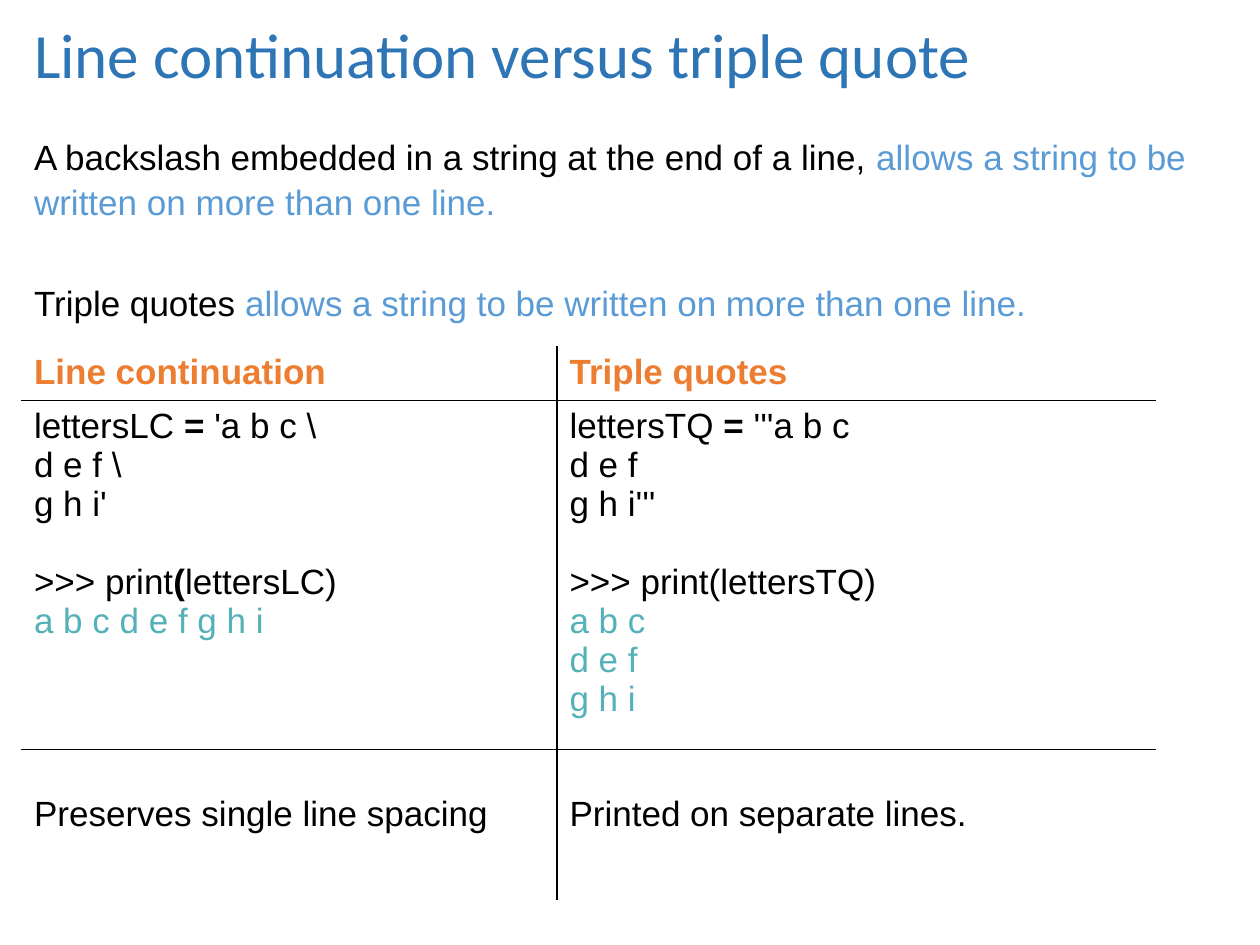
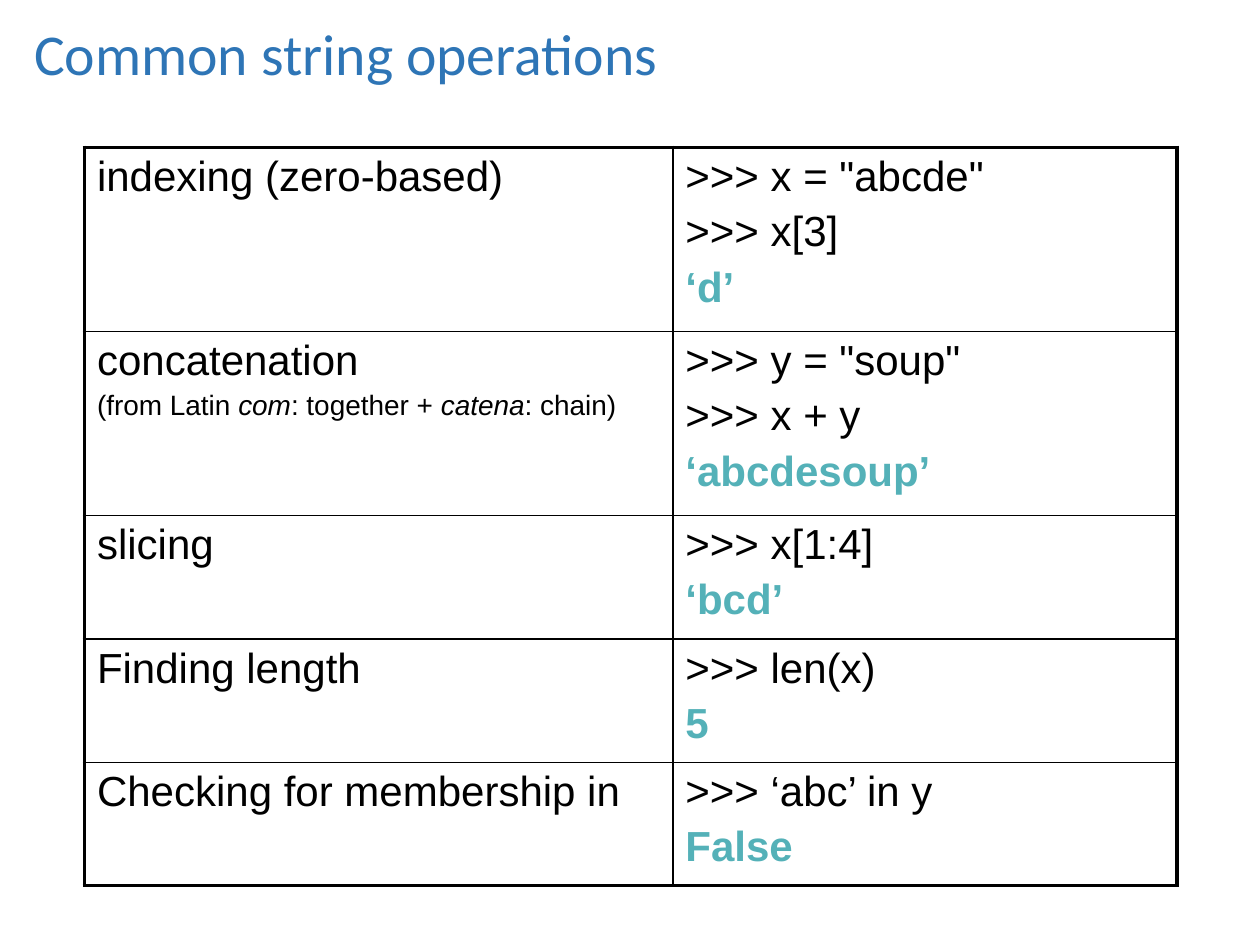
from dataclasses import dataclass
from typing import NamedTuple

from lxml.etree import SubElement
from pptx import Presentation
from pptx.dml.color import RGBColor
from pptx.enum.text import MSO_ANCHOR, MSO_AUTO_SIZE, PP_ALIGN
from pptx.oxml.ns import qn
from pptx.util import Inches, Pt

HUES = {
    "title": "2E75B6",
    "ink": "000000",
    "paper": "FFFFFF",
    "blue": "5B9BD5",
    "head": "ED7D31",
    "out": "54B1B8",
}
THIN, THICK = 1, 2.25
BLANK = 22.3  # height in points of one 20 pt line


class Bit(NamedTuple):
    text: str
    hue: str = "ink"
    bold: bool = False
    slant: bool = False


class Line(NamedTuple):
    bits: list[Bit]
    size: float = 20
    gap: float = 0


class Edge(NamedTuple):
    hue: str
    width: float


@dataclass
class Grid:
    left: float
    top: float
    cols: list[float]
    rows: list[float]
    cells: list[list[list[Line]]]
    rim: Edge


def tint(name: str) -> RGBColor:
    return RGBColor.from_string(HUES[name])


def line(text: str, hue: str = "ink", bold: bool = False,
         size: float = 20, gap: float = 0) -> Line:
    return Line([Bit(text, hue, bold)], size, gap)


def write(frame, lines: list[Line], plain: bool = False) -> None:
    """Fill a text frame; plain removes the list bullets."""
    for i, item in enumerate(lines):
        para = frame.paragraphs[0] if i == 0 else frame.add_paragraph()
        para.text = item.bits[0].text
        for bit in item.bits[1:]:
            para.add_run().text = bit.text
        if plain:
            props = para._p.get_or_add_pPr()
            props.set("marL", "0")
            props.set("indent", "0")
            SubElement(props, qn("a:buNone"))
            para.line_spacing = 1.07
        para.space_before = Pt(item.gap if i else 0)
        for run, bit in zip(para.runs, item.bits):
            font = run.font
            font.name, font.size = "Arial", Pt(item.size)
            font.bold, font.italic = bit.bold, bit.slant
            font.color.rgb = tint(bit.hue)


def place(shape, left: float, top: float, width: float, height: float) -> None:
    shape.left, shape.top = Inches(left), Inches(top)
    shape.width, shape.height = Inches(width), Inches(height)
    frame = shape.text_frame
    frame.word_wrap = True
    frame.auto_size = MSO_AUTO_SIZE.NONE


def start(deck, layout: int, title: str, size: float):
    """Add a slide with the shared title style."""
    slide = deck.slides.add_slide(deck.slide_layouts[layout])
    shape = slide.shapes.title
    place(shape, 0.17, 0.17, 8.75, 0.5)
    frame = shape.text_frame
    frame.text = title
    frame.vertical_anchor = MSO_ANCHOR.MIDDLE
    para = frame.paragraphs[0]
    para.alignment = PP_ALIGN.LEFT
    font = para.runs[0].font
    font.name, font.size = "Calibri", Pt(size)
    font.color.rgb = tint("title")
    return slide


def rule(cell, side: str, edge: Edge) -> None:
    ln = SubElement(cell._tc.get_or_add_tcPr(), qn(f"a:ln{side}"),
                    w=str(Pt(edge.width)))
    fill = SubElement(ln, qn("a:solidFill"))
    SubElement(fill, qn("a:srgbClr"), val=HUES[edge.hue])


def draw(slide, grid: Grid):
    table = slide.shapes.add_table(
        len(grid.rows), len(grid.cols), Inches(grid.left), Inches(grid.top),
        Inches(sum(grid.cols)), Inches(sum(grid.rows))).table
    table.first_row = table.horz_banding = False
    for col, width in zip(table.columns, grid.cols):
        col.width = Inches(width)
    for row, height in zip(table.rows, grid.rows):
        row.height = Inches(height)
    last_row, last_col = len(grid.rows) - 1, len(grid.cols) - 1
    inner = Edge("ink", THIN)
    for r, row in enumerate(grid.cells):
        for c, lines in enumerate(row):
            cell = table.cell(r, c)
            outer = {"L": c == 0, "R": c == last_col,
                     "T": r == 0, "B": r == last_row}
            for side, rim in outer.items():
                rule(cell, side, grid.rim if rim else inner)
            cell.fill.solid()
            cell.fill.fore_color.rgb = tint("paper")
            write(cell.text_frame, lines)
    return table


def quotes(deck) -> None:
    slide = start(deck, 1, "Line continuation versus triple quote", 36)
    body = slide.placeholders[1]
    place(body, 0.17, 1, 9.5, 5.92)
    claim = Bit("allows a string to be written on more than one line.", "blue")
    write(body.text_frame, [
        Line([Bit("A backslash embedded in a string at the end of a line, "),
              claim]),
        Line([Bit("Triple quotes "), claim], gap=32),
    ], plain=True)

    slash = [
        Line([Bit("lettersLC "), Bit("=", bold=True), Bit(" 'a b c \\")]),
        line("d e f \\"),
        line("g h i'"),
        Line([Bit(">>> print"), Bit("(", bold=True), Bit("lettersLC)")],
             gap=BLANK),
        line("a b c d e f g h i", "out"),
    ]
    triple = [
        Line([Bit("lettersTQ "), Bit("= ", bold=True), Bit("'''a b c")]),
        line("d e f"),
        line("g h i'''"),
        line(">>> print(lettersTQ)", gap=BLANK),
        *[line(text, "out") for text in ("a b c", "d e f", "g h i")],
    ]
    heads = ["Line continuation", "Triple quotes"]
    notes = ["Preserves single line spacing", "Printed on separate lines."]
    table = draw(slide, Grid(
        0.17, 2.75, [4.25, 4.75], [0.43, 2.77, 1.2],
        [[[line(text, "head", True)] for text in heads],
         [slash, triple],
         [[line(text)] for text in notes]],
        Edge("paper", THIN)))
    for cell in table.rows[2].cells:
        cell.margin_top = Inches(0.36)


def common(deck) -> None:
    slide = start(deck, 5, "Common string operations", 33)
    latin = Line([Bit("(from Latin "), Bit("com", slant=True),
                  Bit(": together + "), Bit("catena", slant=True),
                  Bit(": chain)")], 16, 3.2)
    tasks = [
        ("indexing (zero-based)", [], ['>>> x = "abcde"', ">>> x[3]"], "‘d’"),
        ("concatenation", [latin], ['>>> y = "soup"', ">>> x + y"],
         "‘abcdesoup’"),
        ("slicing", [], [">>> x[1:4]"], "‘bcd’"),
        ("Finding length", [], [">>> len(x)"], "5"),
        ("Checking for membership in", [], [">>> ‘abc’ in y"], "False"),
    ]
    cells = [
        [[line(name, size=24), *extra],
         [*[line(text, size=24, gap=4.8) for text in code],
          line(out, "out", True, 24, 4.8)]]
        for name, extra, code, out in tasks
    ]
    draw(slide, Grid(0.67, 1.17, [4.67, 4], [1.46] * 2 + [0.98] * 3, cells,
                     Edge("ink", THICK)))


def main() -> None:
    deck = Presentation()
    deck.slide_width, deck.slide_height = Inches(10), Inches(7.5)
    quotes(deck)
    common(deck)
    deck.save("out.pptx")


if __name__ == "__main__":
    main()
